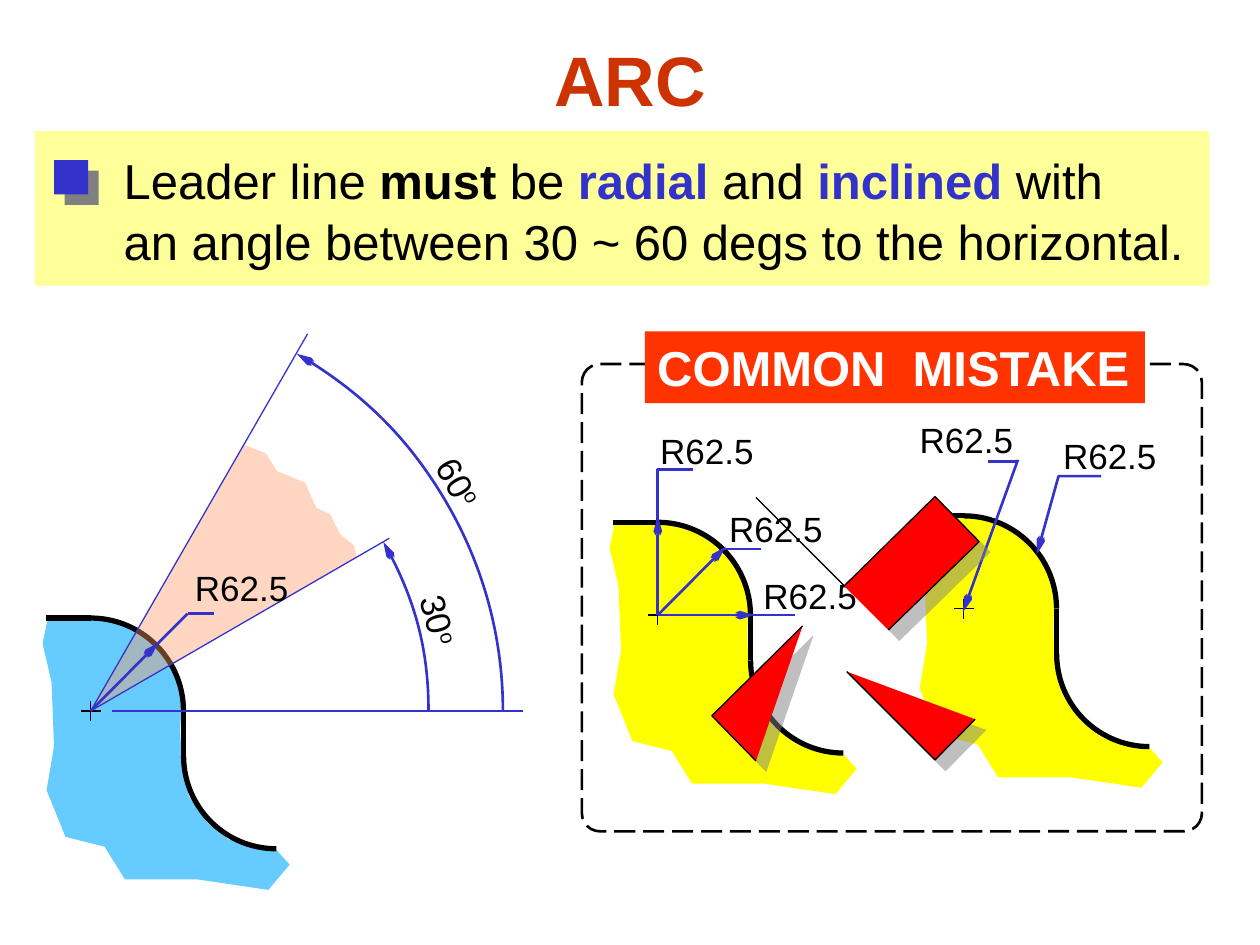
from lxml.etree import SubElement
from pptx import Presentation
from pptx.dml.color import RGBColor
from pptx.enum.dml import MSO_LINE
from pptx.enum.shapes import MSO_CONNECTOR, MSO_SHAPE
from pptx.enum.text import MSO_ANCHOR, MSO_AUTO_SIZE, PP_ALIGN
from pptx.oxml.ns import qn
from pptx.util import Cm, Pt

BLACK = RGBColor(0x00, 0x00, 0x00)
WHITE = RGBColor(0xFF, 0xFF, 0xFF)
BLUE = RGBColor(0x33, 0x33, 0xCC)
SKY = RGBColor(0x66, 0xCC, 0xFF)
YELLOW = RGBColor(0xFF, 0xFF, 0x00)
PALE_YELLOW = RGBColor(0xFF, 0xFF, 0x99)
RUST = RGBColor(0xCC, 0x33, 0x00)
ORANGE_RED = RGBColor(0xFF, 0x33, 0x00)
PEACH = RGBColor(0xFF, 0x99, 0x66)
RED = RGBColor(0xFF, 0x00, 0x00)

presentation = Presentation()
presentation.slide_width, presentation.slide_height = Cm(25.4), Cm(19.05)
slide = presentation.slides.add_slide(presentation.slide_layouts[1])
shapes = slide.shapes
arrows = []


def add_text(paragraph, text, size=20, color=BLACK, bold=False, superscript=False):
    run = paragraph.add_run()
    run.text = text
    run.font.name = "Arial"
    run.font.size = Pt(size)
    run.font.bold = bold
    run.font.color.rgb = color
    if superscript:
        run.font._element.set("baseline", "30000")


def add_path(*contours, fill=None, color=None, width=1.5, arrow=False):
    """Draw a connector for one pair of points, otherwise a freeform."""
    contours = [[(Cm(x), Cm(y)) for x, y in contour] for contour in contours]
    if len(contours) == 1 and len(contours[0]) == 2:
        start, end = contours[0]
        path = shapes.add_connector(MSO_CONNECTOR.STRAIGHT, *start, *end)
    else:
        builder = shapes.build_freeform(*contours[0][0])
        for index, contour in enumerate(contours):
            if index:
                builder.move_to(*contour[0])
            builder.add_line_segments(contour[1:], close=False)
        path = builder.convert_to_shape()
        if fill is None:
            path.fill.background()
        else:
            path.fill.solid()
            path.fill.fore_color.rgb = fill
    if color is None:
        path.line.fill.background()
    else:
        path.line.color.rgb = color
        path.line.width = Pt(width)
    SubElement(path._element.spPr, qn("a:effectLst"))
    if arrow:
        arrows.append((path, "a:tailEnd"))
    return path


# Title and rule
title = shapes.title
title.left, title.top, title.width, title.height = Cm(1.91), Cm(0), Cm(21.59), Cm(3.18)
title.text_frame.vertical_anchor = MSO_ANCHOR.MIDDLE
title.text_frame.paragraphs[0].alignment = PP_ALIGN.CENTER
add_text(title.text_frame.paragraphs[0], "ARC", size=40, color=RUST, bold=True)

rule = slide.placeholders[1]
rule.left, rule.top, rule.width, rule.height = Cm(2.24), Cm(2.84), Cm(21.87), Cm(2.64)
rule.text_frame.word_wrap = False
rule.text_frame.auto_size = MSO_AUTO_SIZE.NONE
rule_lines = [
    [("Leader line ", {}), ("must", {"bold": True}), (" be ", {}),
     ("radial", {"bold": True, "color": BLUE}), (" and ", {}),
     ("inclined ", {"bold": True, "color": BLUE}), ("with", {})],
    [("an angle between 30 ~ 60 degs to the horizontal.", {})],
]
for index, runs in enumerate(rule_lines):
    paragraph = rule.text_frame.add_paragraph() if index else rule.text_frame.paragraphs[0]
    properties = paragraph._p.get_or_add_pPr()
    properties.set("marL", "0")
    properties.set("indent", "0")
    SubElement(properties, qn("a:buNone"))
    paragraph.space_before = Pt(0)
    paragraph.line_spacing = 1.05
    for text, style in runs:
        add_text(paragraph, text, size=28, **style)

# Panels
panels = []
for kind, left, top, width, height, fill in [
    (MSO_SHAPE.RECTANGLE, 0.71, 2.64, 23.67, 3.12, PALE_YELLOW),
    (MSO_SHAPE.RECTANGLE, 1.09, 3.23, 0.69, 0.69, BLUE),
    (MSO_SHAPE.ROUNDED_RECTANGLE, 11.73, 7.34, 12.5, 9.42, None),
    (MSO_SHAPE.RECTANGLE, 13, 6.68, 10.08, 1.45, ORANGE_RED),
]:
    panel = shapes.add_shape(kind, Cm(left), Cm(top), Cm(width), Cm(height))
    panel.shadow.inherit = False
    panel.line.fill.background()
    if fill is None:
        panel.fill.background()
    else:
        panel.fill.solid()
        panel.fill.fore_color.rgb = fill
    panels.append(panel)
rule_band, bullet_square, mistake_frame, mistake_heading = panels
shapes._spTree.insert(2, rule_band._element)
mistake_frame.adjustments[0] = 0.039
mistake_frame.line.color.rgb = BLACK
mistake_frame.line.width = Pt(1.5)
mistake_frame.line.dash_style = MSO_LINE.LONG_DASH
mistake_heading.text_frame.word_wrap = False
mistake_heading.text_frame.vertical_anchor = MSO_ANCHOR.TOP
heading_paragraph = mistake_heading.text_frame.paragraphs[0]
heading_paragraph.alignment = PP_ALIGN.LEFT
add_text(heading_paragraph, "COMMON  MISTAKE", size=28, color=WHITE, bold=True)

# Rounded parts, each placed by the centre of its arc; arcs are (x, y, radius, start, ...)
RADIUS, WALL, MARK = 1.87, 0.91, 0.2
BODY = [(-0.86, -1.9), (-0.97, -1.35), (-0.79, -0.58), (-0.74, 0.71), (-0.89, 1.6),
        (-0.51, 2.54), (0.28, 2.74), (0.69, 3.4), (2.16, 3.4), (3.58, 3.61),
        (4.01, 3.1), (3.73, 2.79), (3.33, 2.77), (2.77, 2.59), (2.36, 2.26),
        (1.98, 1.73), (1.85, 1.19), (1.8, 0.41), (1.83, -0.05), (-0.03, -1.88),
        (-0.86, -1.9)]
correct, wrong_left, wrong_right = (1.83, 14.33), (13.26, 12.4), (19.43, 12.27)
arcs = [(*correct, 6.81, 330, 0, None, BLUE, 1.5), (*correct, 8.31, 300, 0, None, BLUE, 1.5)]
for (x, y), fill in [(correct, SKY), (wrong_left, YELLOW), (wrong_right, YELLOW)]:
    add_path([(x + dx, y + dy) for dx, dy in BODY], fill=fill)
    arcs.append((x, y, RADIUS, 270, 0, fill, BLACK, 3))
    arcs.append((x + 2 * RADIUS, y + WALL, RADIUS, 270, 180, None, BLACK, 3))
for x, y, radius, start, rotation, fill, color, width in arcs:
    arc = shapes.add_shape(MSO_SHAPE.ARC, Cm(x - radius), Cm(y - radius),
                           Cm(2 * radius), Cm(2 * radius))
    arc.adjustments[0] = start * 0.6
    arc.rotation = rotation
    arc.shadow.inherit = False
    arc.line.color.rgb = color
    arc.line.width = Pt(width)
    if fill is None:
        arc.fill.background()
    else:
        arc.fill.solid()
        arc.fill.fore_color.rgb = fill
    if color == BLUE:
        arrows.append((arc, "a:headEnd"))
for x, y in (correct, wrong_left, wrong_right):
    add_path([(x + RADIUS, y), (x + RADIUS, y + WALL)], color=BLACK, width=3)
    add_path([(x - WALL, y - RADIUS), (x, y - RADIUS)], color=BLACK, width=3)
    add_path([(x, y - MARK), (x, y + MARK)], color=BLACK, width=0.75)
    add_path([(x - MARK, y), (x + MARK, y)], color=BLACK, width=0.75)

# Permitted sector and its boundary lines
sector = add_path([(7.19, 11.23), correct, (4.93, 8.97), (5.36, 9.14), (5.59, 9.5),
                   (6.15, 9.73), (6.38, 10.24), (6.65, 10.36), (6.86, 10.77),
                   (7.14, 11), (7.19, 11.23)], fill=PEACH)
sector_color = sector._element.spPr.find(qn("a:solidFill"))[0]
SubElement(sector_color, qn("a:alpha"), val="40000")
for start, end in [(correct, (7.85, 10.85)), (correct, (6.2, 6.73)),
                   ((10.54, 14.33), (2.26, 14.33))]:
    add_path([start, end], color=BLUE, width=0.75)

# Leaders
for points, arrow in [
    ([correct, (3.2, 12.95)], True),
    ([(3.15, 13), (3.78, 12.37)], False),
    ([(3.78, 12.37), (4.32, 12.37)], False),
    ([wrong_left, (14.63, 11.02)], True),
    ([(14.58, 11.07), (15.34, 11.07)], False),
    ([wrong_left, (13.26, 10.41)], True),
    ([(13.26, 10.54), (13.26, 9.47), (13.97, 9.47)], False),
    ([wrong_left, (15.21, 12.4)], True),
    ([(15.11, 12.4), (16.03, 12.4)], False),
    ([(22.2, 9.6), (21.34, 9.6), (20.9, 11.18)], True),
    ([(20.52, 9.27), (19.41, 12.34)], True),
    ([(20.52, 9.3), (19.91, 9.3)], False),
]:
    add_path(points, color=BLUE, arrow=arrow)

# Dimension labels
for text, left, top, width, rotation in [
    ("R62.5", 3.68, 11.3, 2.39, 0), ("R62.5", 14.45, 10.11, 2.39, 0),
    ("R62.5", 13.06, 8.53, 2.39, 0), ("R62.5", 15.14, 11.46, 2.39, 0),
    ("R62.5", 21.18, 8.64, 2.39, 0), ("R62.5", 18.29, 8.31, 2.39, 0),
    ("30", 8.08, 11.94, 1.52, 75), ("60", 8.48, 9.17, 1.52, 60),
]:
    label = shapes.add_textbox(Cm(left), Cm(top), Cm(width), Cm(1.12))
    label.rotation = rotation
    label.text_frame.word_wrap = False
    add_text(label.text_frame.paragraphs[0], text)
    if rotation:
        add_text(label.text_frame.paragraphs[0], "o", superscript=True)

# Red cross over the mistakes
cross = add_path(
    [(16.18, 12.62), (14.35, 14.43), (15.24, 15.34)],
    [(17.07, 13.54), (18.85, 15.32), (19.66, 14.5)],
    [(17.91, 12.7), (19.74, 10.92), (18.85, 10.01), (17.02, 11.81), (15.24, 10.03)],
    fill=RED, color=BLACK, width=0.75)

for shape, opacity in [(bullet_square, "100000"), (cross, "50000")]:
    effects = shape._element.spPr.find(qn("a:effectLst"))
    shadow = SubElement(effects, qn("a:outerShdw"), dist=str(Pt(8.5)), dir="2700000")
    shadow_color = SubElement(shadow, qn("a:srgbClr"), val="808080")
    SubElement(shadow_color, qn("a:alpha"), val=opacity)
for shape, end in arrows:
    SubElement(shape.line._get_or_add_ln(), qn(end), type="arrow", w="sm", len="lg")

presentation.save("out.pptx")
